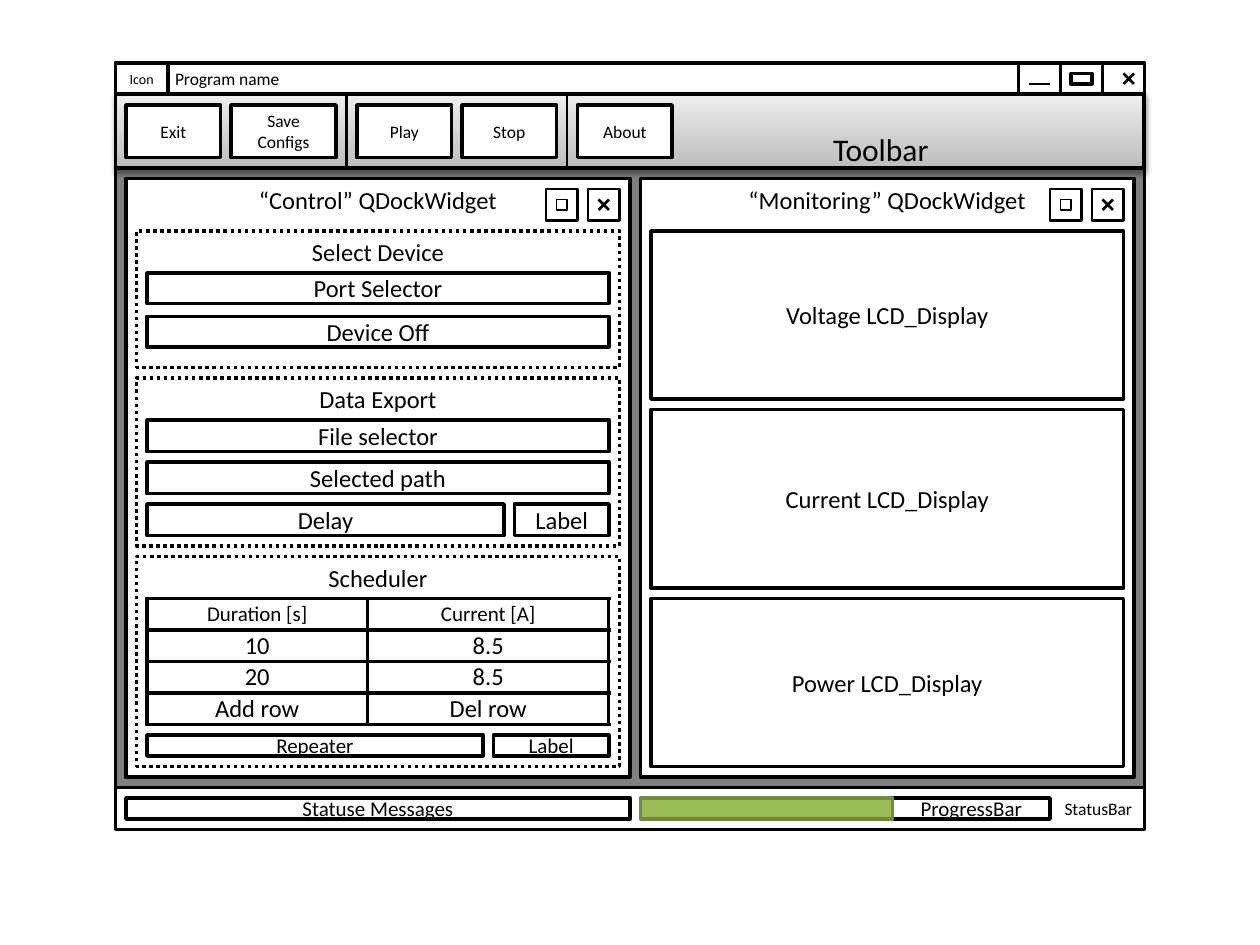
from lxml.etree import SubElement
from pptx import Presentation
from pptx.dml.color import RGBColor
from pptx.enum.dml import MSO_LINE
from pptx.enum.shapes import MSO_CONNECTOR, MSO_SHAPE
from pptx.enum.text import MSO_ANCHOR, PP_ALIGN
from pptx.oxml import parse_xml
from pptx.oxml.ns import nsdecls, qn
from pptx.util import Cm, Pt

GRID = 2.54 / 12
rgb = RGBColor.from_string

prs = Presentation()
prs.slide_width, prs.slide_height = Cm(25.4), Cm(19.05)
s = prs.slides.add_slide(prs.slide_layouts[6])


def box(x, y, w, h, text="", size=14, fill="FFFFFF", line="000000", weight=2,
        align=PP_ALIGN.CENTER, anchor=MSO_ANCHOR.MIDDLE):
    sp = s.shapes.add_shape(MSO_SHAPE.RECTANGLE, *[Cm(v * GRID) for v in (x, y, w, h)])
    sp.shadow.inherit = False
    sp.fill.solid()
    sp.fill.fore_color.rgb = rgb(fill)
    sp.line.color.rgb = rgb(line)
    sp.line.width = Pt(weight)
    if text:
        tf = sp.text_frame
        tf.text = text
        tf.vertical_anchor = anchor
        p = tf.paragraphs[0]
        p.alignment = align
        p.font.size = Pt(size)
        r = p.runs[0]
        r.font.name = "Calibri"
        r.font.size = Pt(size)
        r.font.color.rgb = rgb("000000")
    return sp


def rule(x1, y1, x2, y2):
    cxn = s.shapes.add_connector(MSO_CONNECTOR.STRAIGHT, *[Cm(v * GRID) for v in (x1, y1, x2, y2)])
    cxn.line.color.rgb = rgb("000000")
    cxn.line.width = Pt(1.5)
    SubElement(cxn._element.spPr, qn("a:effectLst"))


box(11, 16, 98, 63, fill="808080")

title_bar = box(11, 6, 98, 3, "Program name", 10, align=PP_ALIGN.LEFT)
title_bar.text_frame.margin_left = Cm(1.2)
box(11, 6, 5, 3, "Icon", 8)
for x in (97, 101):
    box(x, 6, 4, 3)

toolbar = box(11, 9, 98, 7, "Toolbar", 18, weight=2.25,
              align=PP_ALIGN.RIGHT, anchor=MSO_ANCHOR.BOTTOM)
toolbar.text_frame.margin_right = Cm(4.35)
toolbar.text_frame.margin_bottom = 0
toolbar.fill.gradient()
toolbar.fill.gradient_angle = 90
for stop, color in zip(toolbar.fill.gradient_stops, ("BDBDBD", "EEEEEE")):
    stop.color.rgb = rgb(color)
toolbar._element.spPr.find(qn("a:effectLst")).append(parse_xml(
    f'<a:outerShdw {nsdecls("a")} blurRad="40000" dist="20000" dir="5400000" rotWithShape="0">'
    '<a:srgbClr val="000000"><a:alpha val="38000"/></a:srgbClr></a:outerShdw>'))

for x, w, text in [(12, 9, "Exit"), (22, 10, "Save Configs"), (34, 9, "Play"),
                   (44, 9, "Stop"), (55, 9, "About")]:
    box(x, 10, w, 5, text, 10)
for x in (33, 54):
    rule(x, 9, x, 16)

rule(98, 8, 100, 8)
box(102, 7, 2, 1)

for x, w, text in [(61, 47, "“Monitoring” QDockWidget"), (12, 48, "“Control” QDockWidget")]:
    box(x, 17, w, 57, text, anchor=MSO_ANCHOR.TOP)
    right = x + w
    box(right - 8, 18, 3, 3, weight=1.5)
    box(right - 7, 19, 1, 1, weight=1)
    box(right - 4, 18, 3, 3, weight=1.5)

for x, y in [(107, 7), (57, 19), (105, 19)]:
    rule(x, y, x + 1, y + 1)
    rule(x + 1, y, x, y + 1)

for y, h, text in [(22, 13, "Select Device"), (36, 16, "Data Export"), (53, 20, "Scheduler")]:
    group = box(13, y, 46, h, text, anchor=MSO_ANCHOR.TOP)
    group.line.dash_style = MSO_LINE.ROUND_DOT

for x, y, w, h, text, size in [
    (14, 26, 44, 2.9, "Port Selector", 14),
    (14, 30.15, 44, 2.9, "Device Off", 14),
    (14, 40, 44, 3, "File selector", 14),
    (14, 44, 44, 3, "Selected path", 14),
    (14, 48, 34, 3, "Delay", 14),
    (49, 48, 9, 3, "Label", 14),
    (14, 70, 32, 2, "Repeater", 12),
    (47, 70, 11, 2, "Label", 12),
]:
    box(x, y, w, h, text, size)

schedule = [("Duration [s]", "Current [A]"), ("10", "8.5"), ("20", "8.5"), ("Add row", "Del row")]
table = s.shapes.add_table(4, 2, *[Cm(v * GRID) for v in (14, 57, 44, 12)]).table
for column, w in zip(table.columns, (21, 23)):
    column.width = Cm(w * GRID)
for i, texts in enumerate(schedule):
    table.rows[i].height = Cm(3 * GRID)
    for j, text in enumerate(texts):
        cell = table.cell(i, j)
        cell.margin_top = cell.margin_bottom = 0
        cell.vertical_anchor = MSO_ANCHOR.MIDDLE
        cell.text = text
        p = cell.text_frame.paragraphs[0]
        p.alignment = PP_ALIGN.CENTER
        font = p.runs[0].font
        font.name, font.size, font.bold = "Calibri", Pt(14 if i else 12), False
        font.color.rgb = rgb("000000")
        for side in ("lnL", "lnR", "lnT", "lnB"):
            cell._tc.get_or_add_tcPr().append(parse_xml(
                f'<a:{side} {nsdecls("a")} w="25400"><a:solidFill>'
                f'<a:srgbClr val="000000"/></a:solidFill></a:{side}>'))
        cell.fill.solid()
        cell.fill.fore_color.rgb = rgb("FFFFFF")

for y, h, quantity in [(22, 16, "Voltage"), (39, 17, "Current"), (57, 16, "Power")]:
    box(62, y, 45, h, f"{quantity} LCD_Display")

box(11, 75, 98, 4, "StatusBar", 10, align=PP_ALIGN.RIGHT)
box(12, 76, 48, 2, "Statuse Messages", 12)
box(85, 76, 15, 2, "ProgressBar", 12)
box(61, 76, 24, 2, fill="9BBB59", line="738A42")

prs.save("out.pptx")
